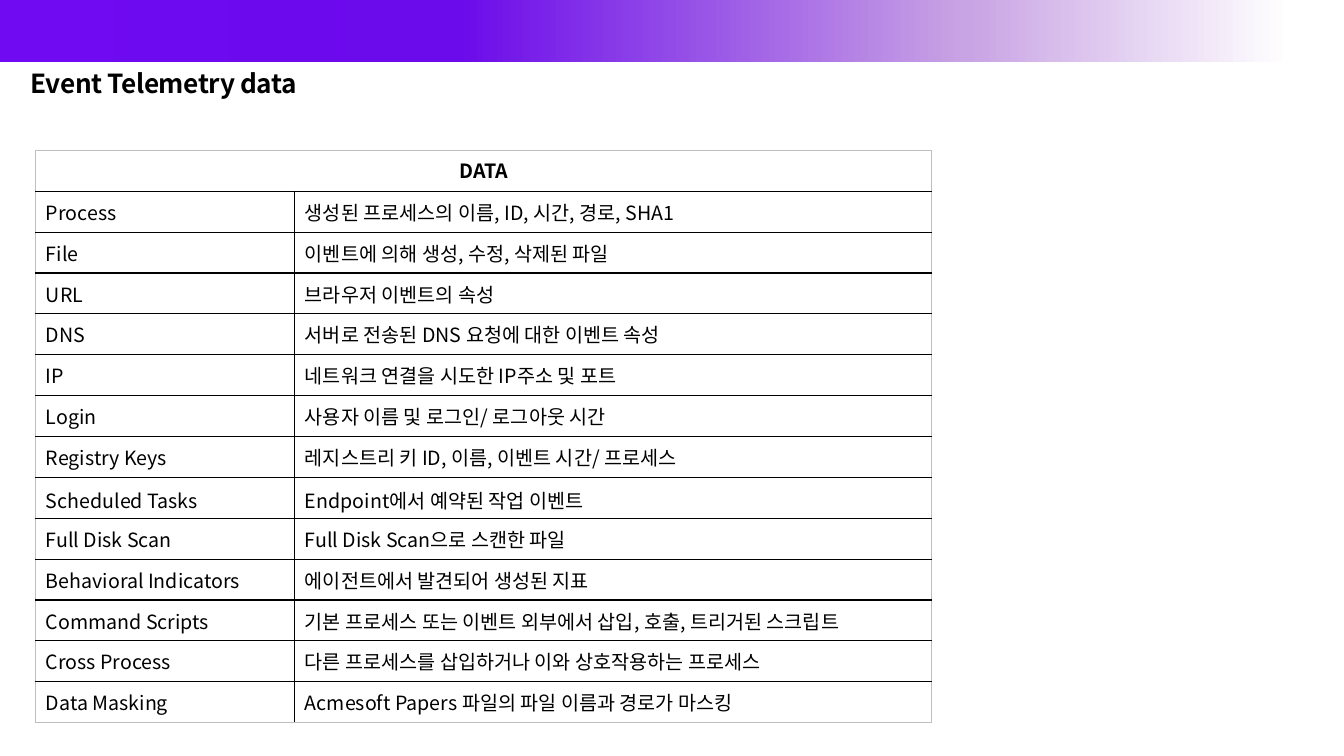
from dataclasses import dataclass

import lxml.etree
import pptx
import pptx.dml.color
import pptx.enum.shapes
import pptx.enum.text
import pptx.oxml
import pptx.oxml.ns
import pptx.util

Pt = pptx.util.Pt
qn = pptx.oxml.ns.qn


@dataclass(frozen=True)
class Theme:
    font: str = "Noto Sans CJK KR"
    ink: str = "000000"
    frame: str = "BFBFBF"
    banner: tuple = ((0, "6F0AF3"), (34, "6B0AEA"), (72, "C9A4E4"), (96, "FFFFFF"))
    title_size: float = 18.7
    table_size: float = 14


theme = Theme()

DATA_TYPES = [
    ("Process", "생성된 프로세스의 이름, ID, 시간, 경로, SHA1"),
    ("File", "이벤트에 의해 생성, 수정, 삭제된 파일"),
    ("URL", "브라우저 이벤트의 속성"),
    ("DNS", "서버로 전송된 DNS 요청에 대한 이벤트 속성"),
    ("IP", "네트워크 연결을 시도한 IP주소 및 포트"),
    ("Login", "사용자 이름 및 로그인/ 로그아웃 시간"),
    ("Registry Keys", "레지스트리 키 ID, 이름, 이벤트 시간/ 프로세스"),
    ("Scheduled Tasks", "Endpoint에서 예약된 작업 이벤트"),
    ("Full Disk Scan", "Full Disk Scan으로 스캔한 파일"),
    ("Behavioral Indicators", "에이전트에서 발견되어 생성된 지표"),
    ("Command Scripts", "기본 프로세스 또는 이벤트 외부에서 삽입, 호출, 트리거된 스크립트"),
    ("Cross Process", "다른 프로세스를 삽입하거나 이와 상호작용하는 프로세스"),
    ("Data Masking", "Acmesoft Papers 파일의 파일 이름과 경로가 마스킹"),
]


def write_text(paragraph, text, size, bold):
    """Add one run and set its Latin and East Asian fonts."""
    run = paragraph.add_run()
    run.text = text
    formats = {"name": theme.font, "size": Pt(size), "bold": bold}
    for name, value in formats.items():
        setattr(run.font, name, value)
    run.font.color.rgb = pptx.dml.color.RGBColor.from_string(theme.ink)
    properties = run.font._element
    east_asian = lxml.etree.SubElement(properties, qn("a:ea"))
    east_asian.set("typeface", theme.font)
    return properties


def draw_borders(cell, colors):
    """Draw the cell's left, right, top and bottom lines, in that order."""
    properties = cell._tc.get_or_add_tcPr()
    for position, (side, color) in enumerate(zip("LRTB", colors)):
        line = pptx.oxml.parse_xml(
            f'<a:ln{side} {pptx.oxml.ns.nsdecls("a")} w="{Pt(1)}">'
            f'<a:solidFill><a:srgbClr val="{color}"/></a:solidFill></a:ln{side}>'
        )
        properties.insert(position, line)


presentation = pptx.Presentation()
presentation.slide_width = Pt(960)
presentation.slide_height = Pt(540)
slide = presentation.slides.add_slide(presentation.slide_layouts[6])

# Banner
banner = slide.shapes.add_shape(
    pptx.enum.shapes.MSO_SHAPE.RECTANGLE, Pt(0), Pt(0), Pt(960), Pt(44)
)
banner.shadow.inherit = False
banner.line.fill.background()
banner.fill.gradient()
banner.fill.gradient_angle = 0
stop_list = banner._element.spPr.find(".//" + qn("a:gsLst"))
for stop in list(stop_list):
    stop_list.remove(stop)
for percent, color in theme.banner:
    stop = lxml.etree.SubElement(stop_list, qn("a:gs"), pos=str(percent * 1000))
    lxml.etree.SubElement(stop, qn("a:srgbClr"), val=color)

# Title
title = slide.shapes.add_textbox(Pt(10.8), Pt(47.9), Pt(483), Pt(22.5))
frame = title.text_frame
frame.word_wrap = True
for side in ("left", "right", "top", "bottom"):
    setattr(frame, f"margin_{side}", Pt(0))
paragraph = frame.paragraphs[0]
paragraph._p.get_or_add_pPr().set("marL", str(Pt(11)))
write_text(paragraph, "Event Telemetry data", theme.title_size, True).set("spc", "-30")

# Table
row_count = len(DATA_TYPES) + 1
row_height = 29.2
column_widths = (185, 455)
table = slide.shapes.add_table(
    row_count, 2, Pt(25.6), Pt(107.4), Pt(sum(column_widths)), Pt(row_height * row_count)
).table
table.first_row = False
table.horz_banding = False
for column, width in zip(table.columns, column_widths):
    column.width = Pt(width)
for row in table.rows:
    row.height = Pt(row_height)

table.cell(0, 0).merge(table.cell(0, 1))
header = table.cell(0, 0).text_frame.paragraphs[0]
header.alignment = pptx.enum.text.PP_ALIGN.CENTER
write_text(header, "DATA", theme.table_size, True)

for row_index, entry in enumerate(DATA_TYPES, start=1):
    for column_index, text in enumerate(entry):
        cell = table.cell(row_index, column_index)
        cell.vertical_anchor = pptx.enum.text.MSO_ANCHOR.MIDDLE
        if entry[0] == "Scheduled Tasks":
            cell.margin_top = cell.margin_bottom = Pt(5.76)
        write_text(cell.text_frame.paragraphs[0], text, theme.table_size, False)

for row_index in range(row_count):
    for column_index in range(2):
        cell = table.cell(row_index, column_index)
        cell.fill.background()
        on_frame = (
            column_index == 0,
            column_index == 1,
            row_index == 0,
            row_index == row_count - 1,
        )
        if cell.is_merge_origin:
            on_frame = (True, True, True, False)
        draw_borders(cell, [theme.frame if outer else theme.ink for outer in on_frame])

presentation.save("out.pptx")
